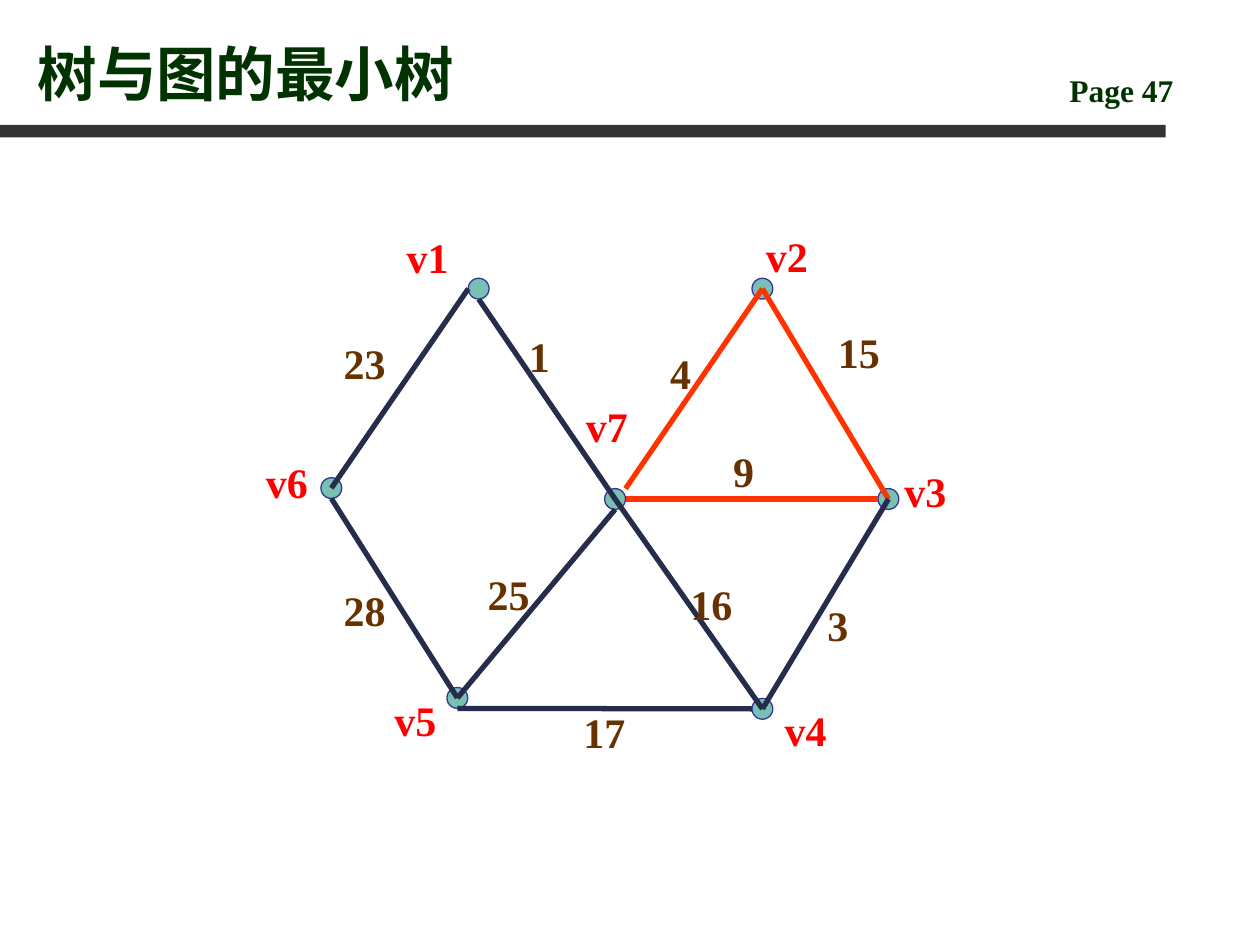
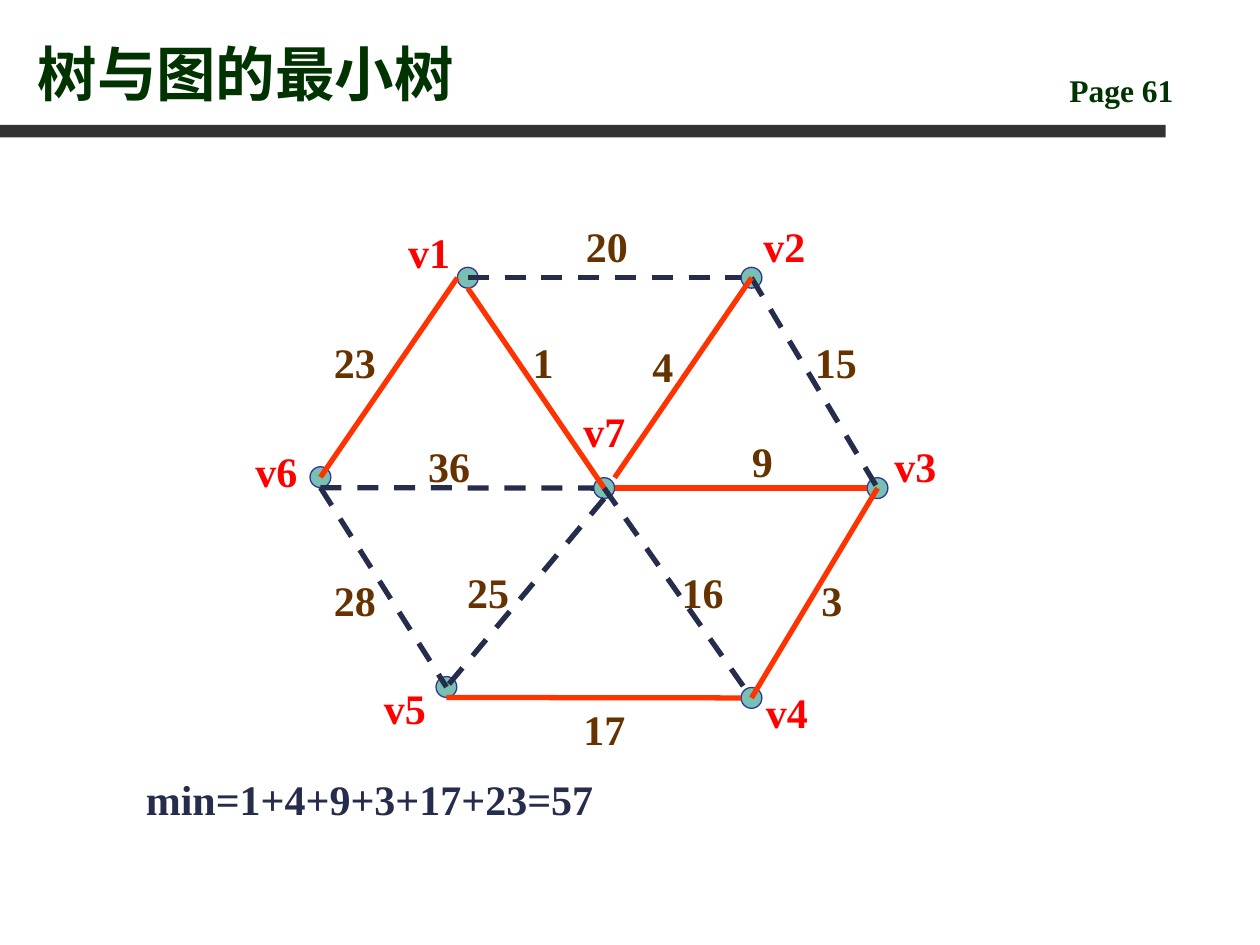
from dataclasses import dataclass

from lxml.etree import SubElement
from pptx import Presentation
from pptx.dml.color import RGBColor
from pptx.enum.dml import MSO_LINE
from pptx.enum.shapes import MSO_CONNECTOR, MSO_SHAPE
from pptx.enum.text import MSO_ANCHOR
from pptx.oxml.ns import qn
from pptx.util import Cm, Pt


@dataclass(frozen=True)
class Theme:
    font: str = "Times New Roman"
    heading: str = "003300"
    band: str = "333333"
    node_fill: str = "78C0B2"
    node_line: str = "333399"
    ink: str = "262D4C"
    highlight: str = "FF3300"
    vertex: str = "FF0000"
    weight: str = "663300"
    title_size: int = 34
    page_size: int = 18
    label_size: int = 24
    edge_width: float = 3
    node_line_width: float = 0.75


THEME = Theme()

# Lengths below are centimetres
RADIUS = 0.21
LABEL_SIZE = (1.47, 1.27)

# Node centres, listed from back to front
NODES = {
    "v7": (12.4, 10.06),
    "v4": (15.37, 14.29),
    "v5": (9.22, 14.07),
    "v2": (15.37, 5.82),
    "v3": (17.91, 10.06),
    "v6": (6.68, 9.84),
    "v1": (9.65, 5.82),
}

# Points on a node where an edge can end, in radii from its centre
CENTRE, LEFT, RIGHT, BOTTOM, CORNER = (0, 0), (-1, 0), (1, 0), (0, 1), (1, -1)

# Every weight is unique, so it identifies its edge
EDGES = {
    20: ("v1", CENTRE, "v2", LEFT),
    23: ("v1", LEFT, "v6", CENTRE),
    15: ("v2", CENTRE, "v3", CENTRE),
    1: ("v1", BOTTOM, "v7", CENTRE),
    4: ("v2", CENTRE, "v7", CORNER),
    36: ("v6", BOTTOM, "v7", LEFT),
    9: ("v7", RIGHT, "v3", LEFT),
    28: ("v6", BOTTOM, "v5", CENTRE),
    25: ("v7", BOTTOM, "v5", CENTRE),
    16: ("v7", CENTRE, "v4", CENTRE),
    17: ("v5", BOTTOM, "v4", LEFT),
    3: ("v3", CENTRE, "v4", CENTRE),
}

# Label positions: left and top of each label box
CYCLE_VERTICES = {
    "v1": (7.95, 4.55), "v7": (11.56, 7.95), "v4": (15.57, 14.07),
    "v3": (17.98, 9.25), "v2": (15.19, 4.52), "v5": (7.7, 13.87),
    "v6": (5.11, 9.07),
}
CYCLE_WEIGHTS = {
    15: (16.64, 6.45), 9: (14.53, 8.86), 16: (13.67, 11.53),
    25: (9.58, 11.33), 3: (16.43, 11.96), 28: (6.68, 11.66),
    17: (11.51, 14.12), 4: (13.26, 6.88), 1: (10.41, 6.53),
    23: (6.68, 6.68),
}
TREE_VERTICES = {
    "v1": (7.98, 4.45), "v7": (11.51, 8.05), "v4": (15.19, 13.72),
    "v3": (17.78, 8.76), "v2": (15.14, 4.32), "v5": (7.49, 13.64),
    "v6": (4.9, 8.86),
}
TREE_WEIGHTS = {
    20: (11.56, 4.32), 15: (16.18, 6.65), 9: (14.91, 8.66),
    16: (13.49, 11.3), 25: (9.17, 11.3), 3: (16.31, 11.46),
    28: (6.48, 11.46), 17: (11.51, 14.05), 4: (12.9, 6.73),
    1: (10.49, 6.65), 23: (6.48, 6.65), 36: (8.38, 8.76),
}


def rgb(color):
    return RGBColor.from_string(color)


def add_text(page, text, place, size, color, anchor=MSO_ANCHOR.TOP):
    box = page.shapes.add_textbox(*map(Cm, place))
    frame = box.text_frame
    frame.word_wrap = True
    frame.vertical_anchor = anchor
    frame.text = text
    font = frame.paragraphs[0].runs[0].font
    font.name = THEME.font
    font.size = Pt(size)
    font.bold = True
    font.color.rgb = rgb(color)


def add_solid(page, kind, place, fill):
    shape = page.shapes.add_shape(kind, *map(Cm, place))
    shape.shadow.inherit = False
    shape.fill.solid()
    shape.fill.fore_color.rgb = rgb(fill)
    shape.line.fill.background()
    return shape


def add_node(page, center):
    x, y = center
    place = (x - RADIUS, y - RADIUS, 2 * RADIUS, 2 * RADIUS)
    node = add_solid(page, MSO_SHAPE.OVAL, place, THEME.node_fill)
    node.line.color.rgb = rgb(THEME.node_line)
    node.line.width = Pt(THEME.node_line_width)


def add_edge(page, start, end, color, dashed):
    edge = page.shapes.add_connector(
        MSO_CONNECTOR.STRAIGHT, *map(Cm, (*start, *end)))
    edge.line.color.rgb = rgb(color)
    edge.line.width = Pt(THEME.edge_width)
    if dashed:
        edge.line.dash_style = MSO_LINE.DASH
    SubElement(edge.element.spPr, qn("a:effectLst"))


def add_labels(page, labels, color):
    for text, corner in labels.items():
        add_text(page, str(text), (*corner, *LABEL_SIZE),
                 THEME.label_size, color)


def add_graph(page, vertices, weights, highlighted, shift=0, dashed=False):
    """Draw the nodes, the edges that have a weight label, and all labels."""
    centers = {name: (x + shift, y + shift) for name, (x, y) in NODES.items()}

    def end_point(name, anchor):
        return tuple(c + RADIUS * a for c, a in zip(centers[name], anchor))

    for center in centers.values():
        add_node(page, center)
    for weight, (first, leave, second, arrive) in EDGES.items():
        if weight in weights:
            marked = weight in highlighted
            add_edge(page, end_point(first, leave), end_point(second, arrive),
                     THEME.highlight if marked else THEME.ink,
                     dashed and not marked)
    add_labels(page, vertices, THEME.vertex)
    add_labels(page, weights, THEME.weight)


def add_page(deck, number):
    """Start a blank page with the shared band, page number and title."""
    page = deck.slides.add_slide(deck.slide_layouts[6])
    add_solid(page, MSO_SHAPE.RECTANGLE, (0, 2.52, 23.5, 0.25), THEME.band)
    add_text(page, f"Page {number}", (21.31, 1.3, 3.61, 1.02),
             THEME.page_size, THEME.heading)
    add_text(page, "树与图的最小树", (0.51, 0.33, 20.4, 1.98),
             THEME.title_size, THEME.heading, MSO_ANCHOR.BOTTOM)
    return page


def main():
    deck = Presentation()
    deck.slide_width, deck.slide_height = Cm(25.4), Cm(19.05)

    # Graph with one cycle highlighted
    page = add_page(deck, 47)
    add_graph(page, CYCLE_VERTICES, CYCLE_WEIGHTS, {4, 9, 15})

    # Minimum spanning tree and its total weight
    page = add_page(deck, 61)
    add_graph(page, TREE_VERTICES, TREE_WEIGHTS, {1, 4, 9, 3, 17, 23},
              shift=-0.22, dashed=True)
    add_text(page, "min=1+4+9+3+17+23=57", (2.69, 15.47, 19.81, 1.27),
             THEME.label_size, THEME.ink)

    deck.save("out.pptx")


if __name__ == "__main__":
    main()
